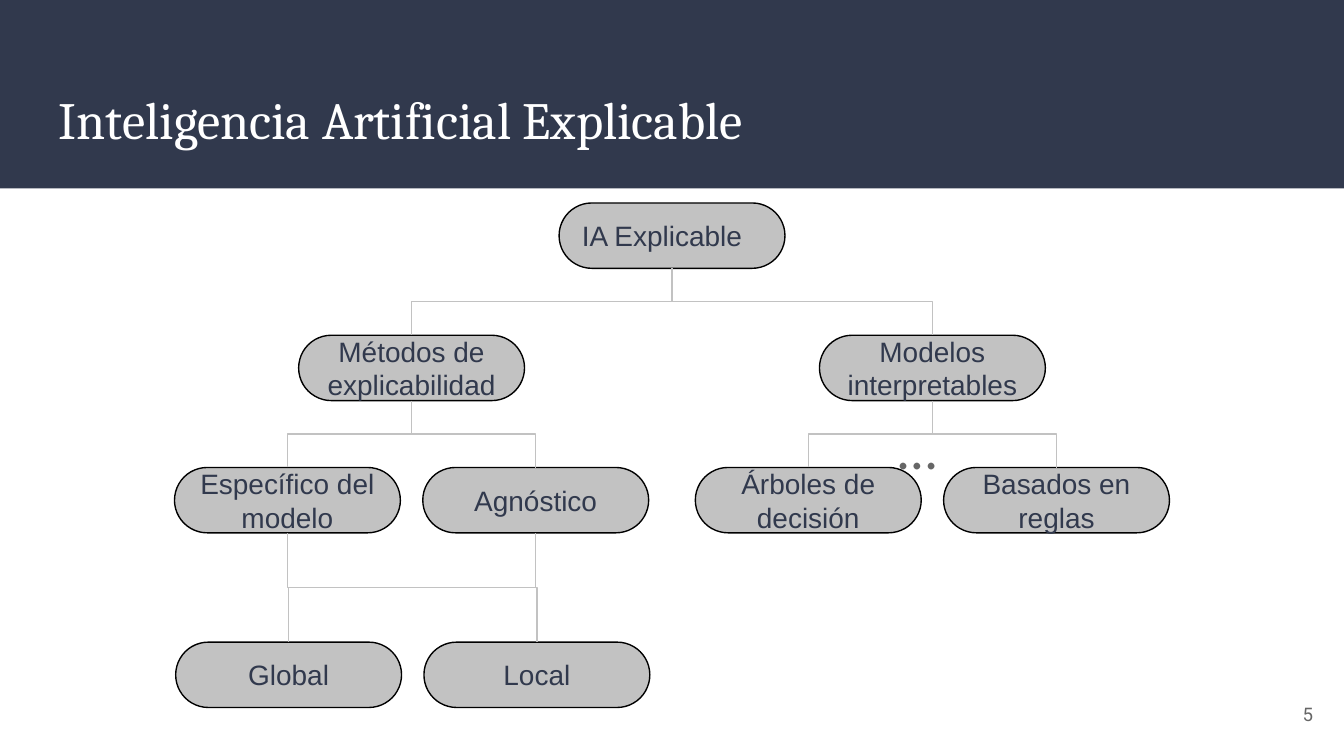
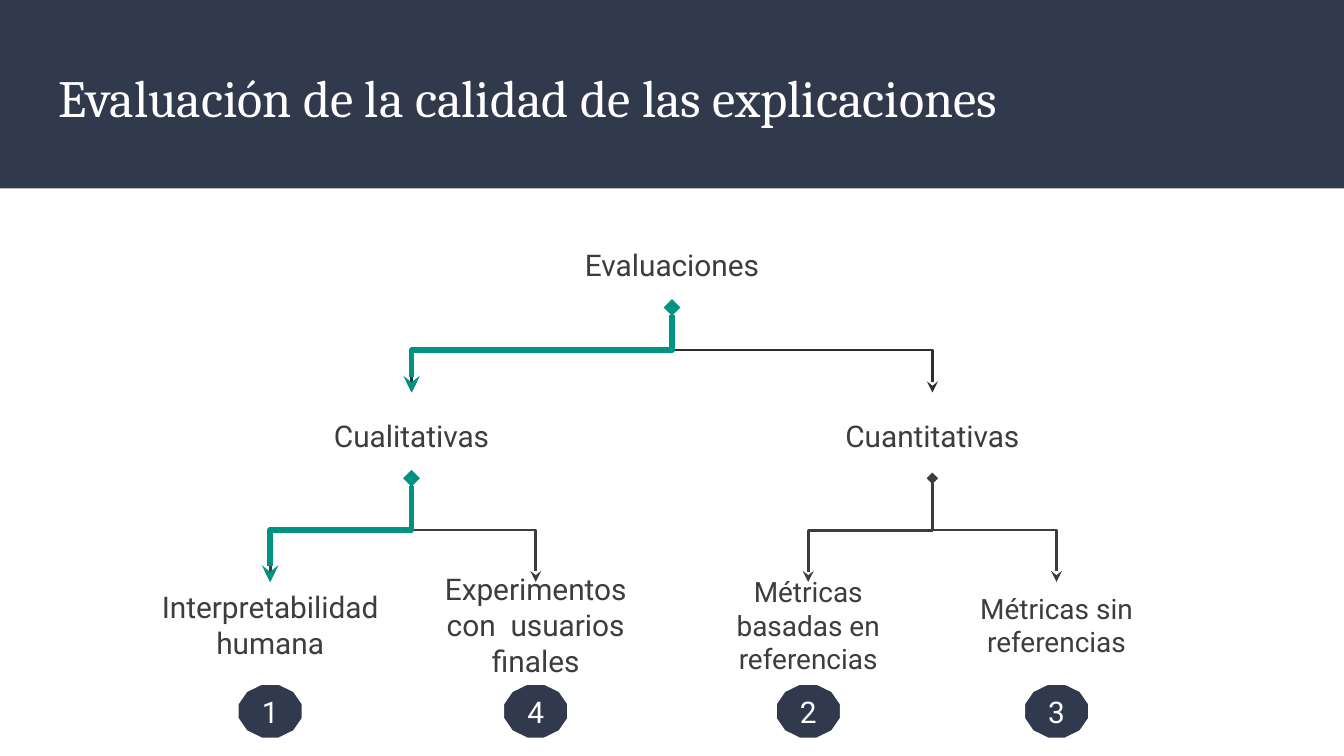
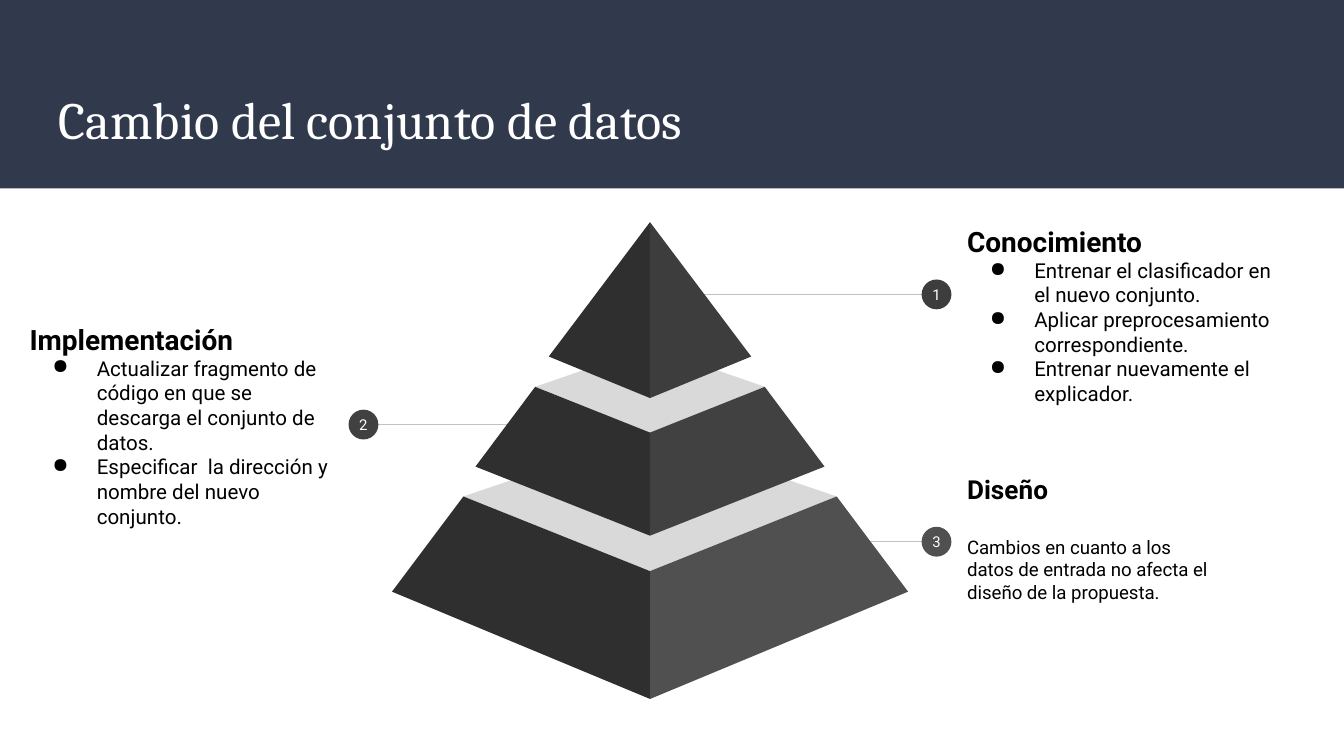
import pptx
import pptx.dml.color
import pptx.enum.shapes
import pptx.enum.text
import pptx.oxml.ns
import pptx.util
from lxml import etree

Pt = pptx.util.Pt
SHAPE = pptx.enum.shapes.MSO_SHAPE
CONNECTOR = pptx.enum.shapes.MSO_CONNECTOR
ALIGN = pptx.enum.text.PP_ALIGN
ANCHOR = pptx.enum.text.MSO_ANCHOR
qn = pptx.oxml.ns.qn

COLORS = {
    "navy": "31394D", "white": "FFFFFF", "black": "000000", "silver": "C2C2C2",
    "gray": "666666", "text": "3D3D3D", "dark": "2F2F2F", "teal": "009384",
    "lid": "D9D9D9", "tier1": "3D3D3D", "tier2": "414141", "tier3": "505050",
}
SLIDE_W, SLIDE_H = 720, 405
BAND_H = 101
INSET = 7.2

# Tree columns, symmetric about the middle of the slide
MIDDLE = SLIDE_W / 2
BRANCH_L, BRANCH_R = MIDDLE - 139.5, MIDDLE + 139.5
LEAVES = [MIDDLE + offset for offset in (-206, -73, 73, 206)]
NODE_W = 121


# ---- Shared helpers ----
def rgb(name):
    return pptx.dml.color.RGBColor.from_string(COLORS[name])


def style_text(paragraph, size, color, font="Roboto", bold=False, align=None):
    paragraph.alignment = align
    for run in paragraph.runs:
        run.font.size = Pt(size)
        run.font.name = font
        run.font.bold = bold
        run.font.color.rgb = rgb(color)


def set_frame(shape, anchor, inset=INSET):
    frame = shape.text_frame
    frame.word_wrap = True
    frame.vertical_anchor = anchor
    frame.margin_left = frame.margin_right = Pt(inset)
    frame.margin_top = frame.margin_bottom = Pt(inset)
    return frame


def add_label(slide, box, text, size, color, anchor=ANCHOR.MIDDLE, **style):
    label = slide.shapes.add_textbox(*map(Pt, box))
    frame = set_frame(label, anchor)
    frame.text = text
    style_text(frame.paragraphs[0], size, color, **style)


def paint(shape, fill, line=None):
    shape.shadow.inherit = False
    shape.fill.solid()
    shape.fill.fore_color.rgb = rgb(fill)
    if line:
        shape.line.color.rgb = rgb(line)
        shape.line.width = Pt(0.75)
    else:
        shape.line.fill.background()


def add_badge(slide, kind, box, fill, text, size, color, line=None,
              inset=INSET, font="Roboto", align=ALIGN.CENTER):
    badge = slide.shapes.add_shape(kind, *map(Pt, box))
    paint(badge, fill, line)
    frame = set_frame(badge, ANCHOR.MIDDLE, inset)
    frame.text = text
    style_text(frame.paragraphs[0], size, color, font, align=align)
    return badge


def style_line(connector, color, width, ends=()):
    connector.line.color.rgb = rgb(color)
    connector.line.width = Pt(width)
    outline = connector.line._get_or_add_ln()
    for tag, kind in zip(("a:headEnd", "a:tailEnd"), ends):
        etree.SubElement(outline, qn(tag)).set("type", kind)
    etree.SubElement(connector._element.spPr, qn("a:effectLst"))


def add_branch(slide, parent, child, color, width, arrows=False):
    """Elbow that leaves the parent downwards and enters the child from above."""
    (px, py), (cx, cy) = parent, child
    drop, spread = cy - py, abs(cx - px)
    left, top = (px + cx - drop) / 2, (py + cy - spread) / 2
    begin_x, end_x = left, left + drop
    ends = ["stealth", "diamond"]
    if cx > px:
        begin_x, end_x = end_x, begin_x
        ends.reverse()
    branch = slide.shapes.add_connector(
        CONNECTOR.ELBOW, Pt(begin_x), Pt(top), Pt(end_x), Pt(top + spread))
    branch._element.spPr.find(qn("a:xfrm")).set("rot", str(270 * 60000))
    style_line(branch, color, width, ends if arrows else ())


def add_titled_slide(deck, title, title_top=39.5):
    slide = deck.slides.add_slide(deck.slide_layouts[6])
    band = slide.shapes.add_shape(SHAPE.RECTANGLE, 0, 0, Pt(SLIDE_W), Pt(BAND_H))
    paint(band, "navy")
    add_label(slide, (24.5, title_top, 671, 49), title, 28, "white",
              anchor=ANCHOR.TOP, font="Cambria")
    return slide


# ---- Slide 1: taxonomy of explainable AI ----
def add_taxonomy(slide, top):
    node_h, step = 35, 70.85
    rows = [top, top + step, top + 2 * step, top + 235.25]
    shift = 0.6  # the last row sits slightly to the right
    nodes = {
        "IA Explicable": (MIDDLE, rows[0]),
        "Métodos de explicabilidad": (BRANCH_L, rows[1]),
        "Modelos interpretables": (BRANCH_R, rows[1]),
        "Específico del modelo": (LEAVES[0], rows[2]),
        "Agnóstico": (LEAVES[1], rows[2]),
        "Árboles de decisión": (LEAVES[2], rows[2]),
        "Basados en reglas": (LEAVES[3], rows[2]),
        "Global": (LEAVES[0] + shift, rows[3]),
        "Local": (LEAVES[1] + shift, rows[3]),
    }
    children = {
        "IA Explicable": ["Métodos de explicabilidad", "Modelos interpretables"],
        "Métodos de explicabilidad": ["Específico del modelo", "Agnóstico"],
        "Modelos interpretables": ["Árboles de decisión", "Basados en reglas"],
        "Específico del modelo": ["Global"],
        "Agnóstico": ["Global", "Local"],
    }
    for name, (x, y) in nodes.items():
        align = ALIGN.LEFT if name == "IA Explicable" else ALIGN.CENTER
        node = add_badge(slide, SHAPE.ROUNDED_RECTANGLE,
                         (x - NODE_W / 2, y, NODE_W, node_h), "silver", name, 15,
                         "navy", line="black", font="Arial", align=align)
        node.adjustments[0] = 0.5
    for parent, names in children.items():
        x, y = nodes[parent]
        for name in names:
            add_branch(slide, (x, y + node_h), nodes[name], "silver", 0.75)


def build_taxonomy_slide(deck):
    slide = add_titled_slide(deck, "Inteligencia Artificial Explicable")
    add_taxonomy(slide, 108.75)
    add_label(slide, (474, 214.5, 39, 49), "…", 30, "gray",
              anchor=ANCHOR.TOP, font="Calibri")
    add_label(slide, (667.5, 367, 43, 31), "5", 10, "gray", align=ALIGN.RIGHT)


# ---- Slide 2: kinds of evaluation ----
def add_evaluations(slide, top):
    label_h = 46
    rows = [top, top + 91.5, top + 193]
    human_x = 144.75
    root, qualitative, quantitative = (
        (MIDDLE, rows[0]), (BRANCH_L, rows[1]), (BRANCH_R, rows[1]))
    # centre, width, size, text and order number of each leaf
    leaves = [
        (human_x, 140, 16, "Interpretabilidad humana", "1"),
        (LEAVES[1], NODE_W, 16, "Experimentos con  usuarios finales", "4"),
        (LEAVES[2], NODE_W, 15, "Métricas basadas en referencias", "2"),
        (LEAVES[3], NODE_W, 15, "Métricas sin referencias", "3"),
    ]
    human, users, with_refs, without_refs = [(leaf[0], rows[2]) for leaf in leaves]

    # Branches, with the highlighted route on top
    for parent, child, color, width in [
        (root, quantitative, "dark", 1.5),
        (qualitative, users, "text", 1.5),
        (qualitative, human, "text", 1.5),
        (quantitative, without_refs, "text", 1.5),
        (quantitative, with_refs, "text", 1.5),
        (root, qualitative, "dark", 1.5),
        (root, qualitative, "teal", 3),
        (qualitative, human, "teal", 3),
    ]:
        add_branch(slide, (parent[0], parent[1] + label_h), child, color, width,
                   arrows=True)

    # Labels and numbers
    for (x, y), text in [(root, "Evaluaciones"), (qualitative, "Cualitativas"),
                         (quantitative, "Cuantitativas")]:
        add_label(slide, (x - NODE_W / 2, y, NODE_W, label_h), text, 16, "text",
                  align=ALIGN.CENTER)
    for x, width, size, text, number in leaves:
        add_label(slide, (x - width / 2, rows[2], width, label_h), text, size, "text",
                  align=ALIGN.CENTER)
        add_badge(slide, SHAPE.DODECAGON, (x - 17.25, rows[2] + 54.75, 34.5, 29),
                  "navy", number, 16, "white", line="white")


def build_evaluation_slide(deck):
    slide = add_titled_slide(
        deck, "Evaluación de la calidad de las explicaciones", title_top=27.5)
    add_evaluations(slide, 118.75)


# ---- Slide 3: pyramid with callouts ----
def add_bullet(paragraph):
    properties = paragraph._p.get_or_add_pPr()
    properties.set("marL", str(Pt(36)))
    properties.set("indent", str(-Pt(23.75)))
    bullet_color = etree.SubElement(properties, qn("a:buClr"))
    etree.SubElement(bullet_color, qn("a:srgbClr")).set("val", COLORS["black"])
    etree.SubElement(properties, qn("a:buChar")).set("char", "●")


def add_callout(slide, box, marker, line_end, number, color, heading, items,
                sizes=(15, 11), bulleted=True):
    left, top, width, height = box
    x, y = left + marker[0], top + marker[1]
    radius = 8

    # Line and numbered marker
    leader = slide.shapes.add_connector(
        CONNECTOR.STRAIGHT, Pt(line_end), Pt(y), Pt(x), Pt(y))
    style_line(leader, "silver", 0.75)
    add_badge(slide, SHAPE.OVAL, (x - radius, y - radius, 2 * radius, 2 * radius),
              color, number, 8, "white", inset=0)

    # Heading and details
    details = slide.shapes.add_textbox(*map(Pt, box))
    frame = set_frame(details, ANCHOR.MIDDLE)
    frame.text = heading
    style_text(frame.paragraphs[0], sizes[0], "black", bold=True)
    for item in items:
        paragraph = frame.add_paragraph()
        paragraph.text = item
        if bulleted:
            add_bullet(paragraph)
        else:
            paragraph.space_before = Pt(16.5)
        style_text(paragraph, sizes[1], "black")


def add_face(slide, points, color):
    corners = [(Pt(x), Pt(y)) for x, y in points]
    builder = slide.shapes.build_freeform(*corners[0])
    builder.add_line_segments(corners[1:], close=True)
    paint(builder.convert_to_shape(), color)


def add_pyramid(slide, axis, apex):
    # lid back, shoulder, lid front, outer corner, bottom, colour of the right face
    tiers = [
        (113, (100, 147), 187, (138.25, 198), 255.5, "tier3"),
        (67, (61.5, 88.25), 112.75, (93.5, 131), 168, "tier2"),
        (None, (0, 0), 0, (54.25, 72), 94.25, "tier1"),
    ]
    for back, (shoulder, shoulder_y), front, (corner, corner_y), bottom, color in tiers:
        if back is not None:
            lid = [(-shoulder, shoulder_y), (0, front), (shoulder, shoulder_y), (0, back)]
            add_face(slide, [(axis + x, apex + y) for x, y in lid], "lid")
        face = [(shoulder, shoulder_y), (corner, corner_y), (0, bottom), (0, front)]
        for side, face_color in ((-1, "dark"), (1, color)):
            add_face(slide, [(axis + side * x, apex + y) for x, y in face], face_color)


def build_pyramid_slide(deck):
    slide = add_titled_slide(deck, "Cambio del conjunto de datos")
    block_h = 108.5
    add_callout(slide, (511, 234, 147, block_h), (-9.25, 56.25), 463.75, "3", "tier3",
                "Diseño",
                ["Cambios en cuanto a los  datos de entrada no afecta el diseño "
                 "de la propuesta."],
                sizes=(14, 10), bulleted=False)
    add_callout(slide, (8.75, 173.5, 176.5, block_h), (186, 54), 274.25, "2", "tier2",
                "Implementación",
                ["Actualizar fragmento de código en que se descarga el conjunto "
                 "de datos.",
                 "Especificar  la dirección y nombre del nuevo conjunto."])
    add_callout(slide, (511, 114.5, 184.5, block_h), (-9.25, 43.25), 374.5, "1", "tier1",
                "Conocimiento",
                ["Entrenar el clasificador en el nuevo conjunto.",
                 "Aplicar preprocesamiento correspondiente.",
                 "Entrenar nuevamente el explicador."])
    add_pyramid(slide, 348.25, 119)


def main():
    deck = pptx.Presentation()
    deck.slide_width, deck.slide_height = Pt(SLIDE_W), Pt(SLIDE_H)
    build_taxonomy_slide(deck)
    build_evaluation_slide(deck)
    build_pyramid_slide(deck)
    deck.save("out.pptx")


if __name__ == "__main__":
    main()
